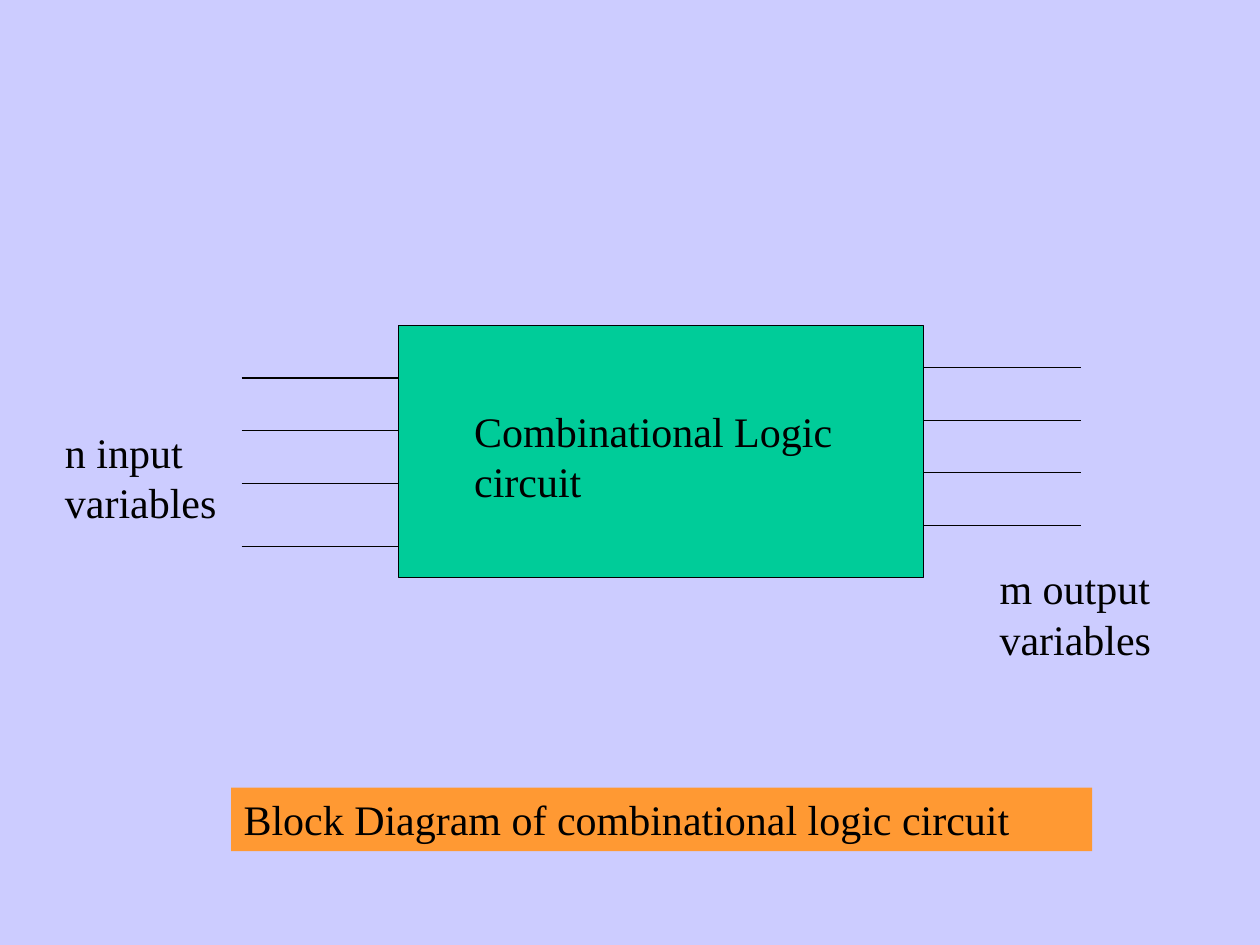
"""Block diagram of a combinational logic circuit."""
from lxml import etree
from pptx import Presentation
from pptx.dml.color import RGBColor
from pptx.enum.shapes import MSO_CONNECTOR, MSO_SHAPE
from pptx.enum.text import MSO_ANCHOR, PP_ALIGN
from pptx.oxml.ns import qn
from pptx.util import Cm, Pt

RECT, STRAIGHT = MSO_SHAPE.RECTANGLE, MSO_CONNECTOR.STRAIGHT
LEFT, TOP = PP_ALIGN.LEFT, MSO_ANCHOR.TOP
THEME = {
    "back": RGBColor(0xCC, 0xCC, 0xFF),
    "block": RGBColor(0x00, 0xCC, 0x99),
    "caption": RGBColor(0xFF, 0x99, 0x33),
    "ink": RGBColor(0, 0, 0),
    "font": "Times New Roman",
    "size": Pt(24),
    "line": Pt(0.74),
}


def add_box(x, y, w, h, fill):
    s = slide.shapes.add_shape(RECT, Cm(x), Cm(y), Cm(w), Cm(h))
    s.shadow.inherit = False
    s.fill.solid()
    s.fill.fore_color.rgb = fill
    s.line.fill.background()
    return s


def set_text(s, text):
    tf = s.text_frame
    tf.word_wrap = True
    tf.vertical_anchor = TOP
    p = tf.paragraphs[0]
    p.alignment = LEFT
    r = p.add_run()
    r.text = text
    r.font.name = THEME["font"]
    r.font.size = THEME["size"]
    r.font.color.rgb = THEME["ink"]


prs = Presentation()
prs.slide_width, prs.slide_height = Cm(25.4), Cm(19.05)
slide = prs.slides.add_slide(prs.slide_layouts[6])
slide.background.fill.solid()
slide.background.fill.fore_color.rgb = THEME["back"]

block = add_box(8.04, 6.56, 10.58, 5.08, THEME["block"])
block.line.color.rgb = THEME["ink"]
block.line.width = THEME["line"]

inputs = [(4.87, y) for y in (7.62, 8.68, 9.74, 11.01)]
outputs = [(18.63, 7.41 + 1.06 * i) for i in range(4)]
for x, y in inputs + outputs:
    wire = slide.shapes.add_connector(STRAIGHT, Cm(x), Cm(y), Cm(x + 3.17), Cm(y))
    wire.line.color.rgb = THEME["ink"]
    wire.line.width = THEME["line"]
    etree.SubElement(wire._element.spPr, qn("a:effectLst"))

labels = [
    ("Combinational Logic circuit", 9.31, 8.04, 8.26),
    ("n input variables", 1.06, 8.47, 3.6),
    ("m output variables", 19.9, 11.22, 4.02),
]
for text, x, y, w in labels:
    set_text(slide.shapes.add_textbox(Cm(x), Cm(y), Cm(w), Cm(2.29)), text)

caption = add_box(4.66, 15.88, 17.36, 1.28, THEME["caption"])
set_text(caption, "Block Diagram of combinational logic circuit")

prs.save("out.pptx")
